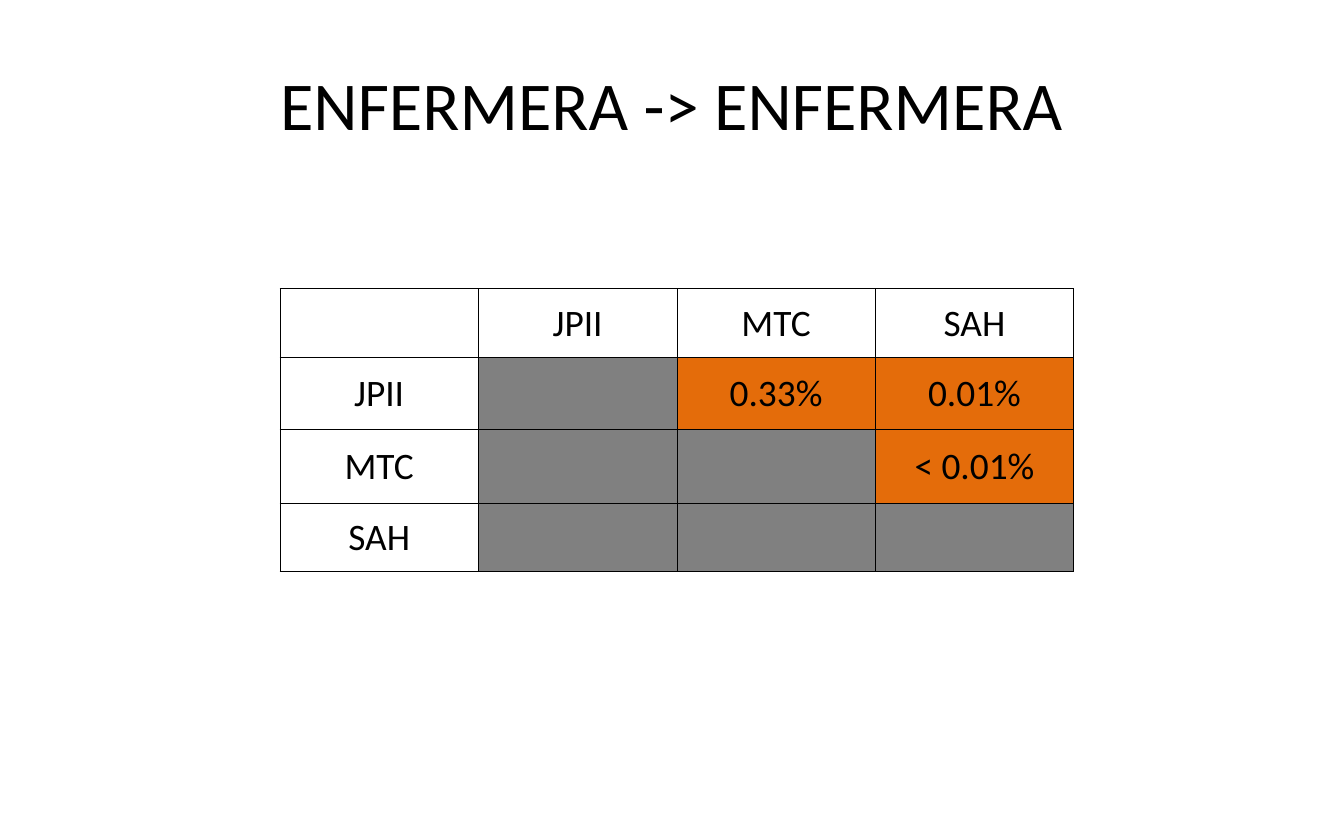
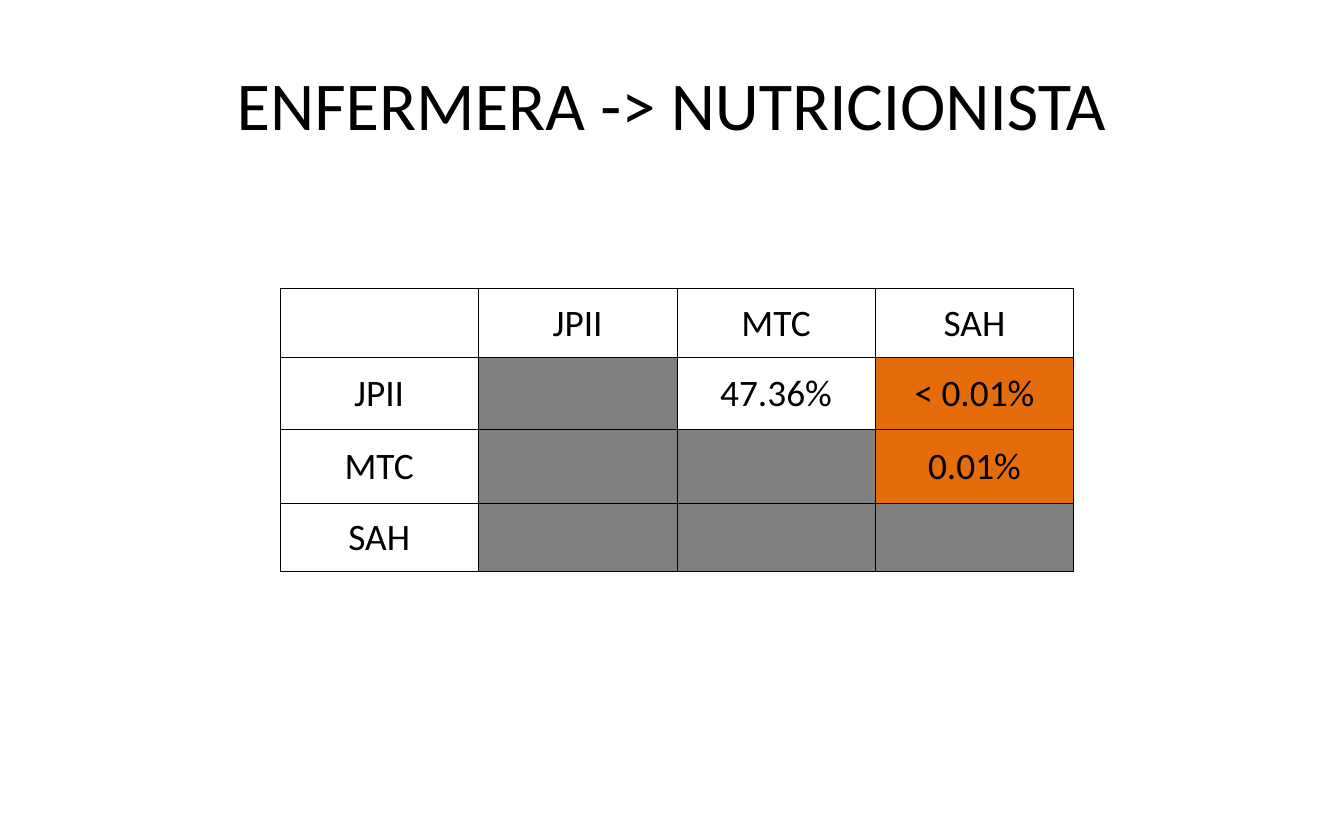
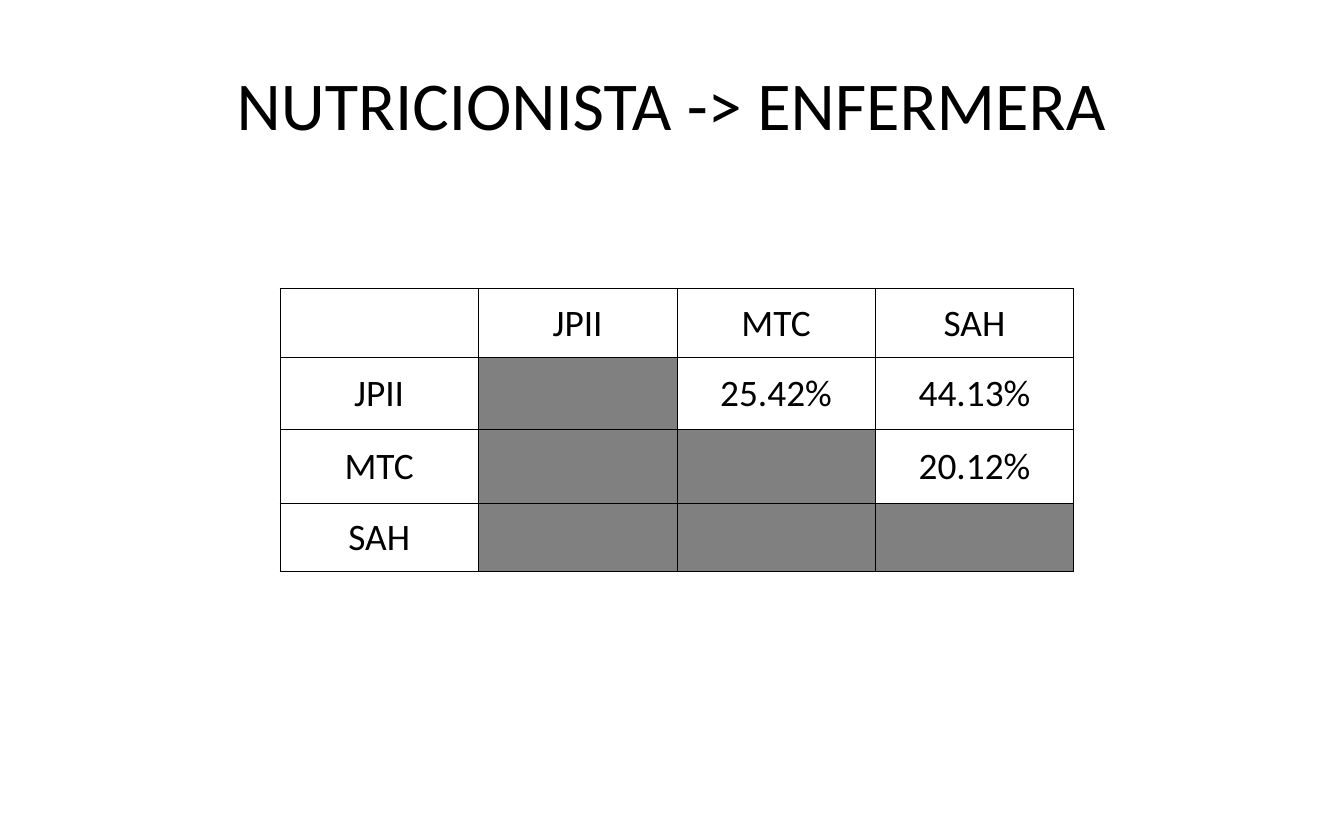
from dataclasses import dataclass

import pptx
import pptx.dml.color
import pptx.enum.text
import pptx.oxml
import pptx.oxml.ns
import pptx.slide
import pptx.table
import pptx.text.text
import pptx.util
from pptx.util import Cm

COLORS = {"text": "000000", "border": "000000", "plain": "FFFFFF",
          "unused": "808080", "significant": "E46C0A"}
FONT = "Calibri"
CENTERS = ["JPII", "MTC", "SAH"]
SIGNIFICANCE = 5.0
COL_WIDTH = Cm(4.5)
ROW_HEIGHTS = [Cm(1.55), Cm(1.63), Cm(1.68), Cm(1.55)]


@dataclass(frozen=True)
class Comparison:
    title: str
    p_values: dict[tuple[str, str], str]


COMPARISONS = [
    Comparison("ENFERMERA -> ENFERMERA", {
        ("JPII", "MTC"): "0.33%", ("JPII", "SAH"): "0.01%", ("MTC", "SAH"): "< 0.01%"}),
    Comparison("ENFERMERA -> NUTRICIONISTA", {
        ("JPII", "MTC"): "47.36%", ("JPII", "SAH"): "< 0.01%", ("MTC", "SAH"): "0.01%"}),
    Comparison("NUTRICIONISTA -> ENFERMERA", {
        ("JPII", "MTC"): "25.42%", ("JPII", "SAH"): "44.13%", ("MTC", "SAH"): "20.12%"}),
]


def rgb(name: str) -> pptx.dml.color.RGBColor:
    return pptx.dml.color.RGBColor.from_string(COLORS[name])


def write(tf: pptx.text.text.TextFrame, text: str, *, size: float,
          color: str = "text") -> None:
    p = tf.paragraphs[0]
    p.alignment = pptx.enum.text.PP_ALIGN.CENTER
    r = p.add_run()
    r.text = text
    r.font.name = FONT
    r.font.size = pptx.util.Pt(size)
    r.font.color.rgb = rgb(color)


def add_title(s: pptx.slide.Slide, text: str) -> None:
    tf = s.shapes.add_textbox(Cm(1.52), Cm(0.76), Cm(27.43), Cm(3.18)).text_frame
    tf.word_wrap = True
    tf.vertical_anchor = pptx.enum.text.MSO_ANCHOR.MIDDLE
    write(tf, text, size=44)


def add_borders(cell: pptx.table._Cell) -> None:
    tc_pr = cell._tc.get_or_add_tcPr()
    for side in ("lnL", "lnR", "lnT", "lnB"):
        tc_pr.append(pptx.oxml.parse_xml(
            f'<a:{side} {pptx.oxml.ns.nsdecls("a")} w="{pptx.util.Pt(0.5)}">'
            f'<a:solidFill><a:srgbClr val="{COLORS["border"]}"/></a:solidFill>'
            f'</a:{side}>'))


def fill_cell(cell: pptx.table._Cell, text: str, fill: str) -> None:
    add_borders(cell)
    cell.fill.solid()
    cell.fill.fore_color.rgb = rgb(fill)
    if text:
        cell.vertical_anchor = pptx.enum.text.MSO_ANCHOR.MIDDLE
        cell.margin_left = cell.margin_right = cell.margin_top = Cm(0.02)
        cell.margin_bottom = 0
        write(cell.text_frame, text, size=24)


def p_value_fill(text: str) -> str:
    if not text:
        return "unused"
    return "significant" if float(text.strip("<% ")) < SIGNIFICANCE else "plain"


def add_matrix(s: pptx.slide.Slide, p_values: dict[tuple[str, str], str]) -> None:
    labels = ["", *CENTERS]
    n = len(labels)
    table = s.shapes.add_table(n, n, Cm(6.35), Cm(6.55),
                               COL_WIDTH * n, sum(ROW_HEIGHTS)).table
    table.first_row = table.horz_banding = False
    for i, row_label in enumerate(labels):
        table.rows[i].height = ROW_HEIGHTS[i]
        table.columns[i].width = COL_WIDTH
        for j, col_label in enumerate(labels):
            if i and j:
                text = p_values.get((row_label, col_label), "")
                fill = p_value_fill(text)
            else:
                text, fill = row_label or col_label, "plain"
            fill_cell(table.cell(i, j), text, fill)


def main() -> None:
    prs = pptx.Presentation()
    prs.slide_width, prs.slide_height = Cm(30.48), Cm(19.05)
    for comparison in COMPARISONS:
        s = prs.slides.add_slide(prs.slide_layouts[6])
        add_matrix(s, comparison.p_values)
        add_title(s, comparison.title)
    prs.save("out.pptx")


if __name__ == "__main__":
    main()
